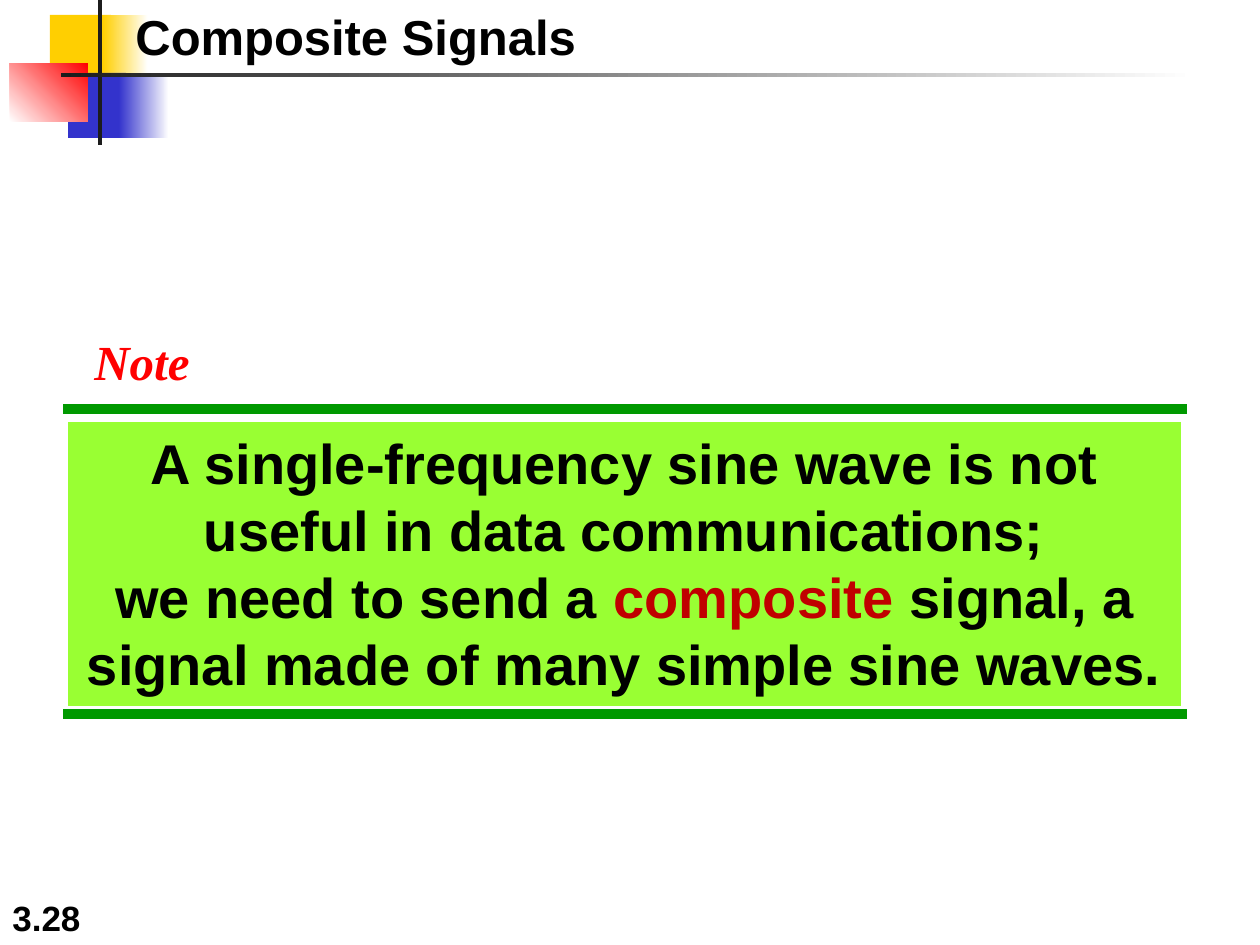
"""Build the Composite Signals note slide."""
import pptx
import pptx.util
import pptx.dml.color
import pptx.enum.shapes
import pptx.enum.text
import pptx.oxml.ns
import lxml.etree

PX = 914400 / 126
HUES = {
    "black": "000000", "white": "FFFFFF", "gold": "FFCF01", "blue": "3333CC",
    "red": "FF0000", "ink": "1C1C1C", "green": "009900", "lime": "99FF33",
    "wine": "C00000",
}
BLOCKS = [
    ((50, 15, 61, 65), ["gold"], 0),
    ((103, 15, 45, 65), ["gold", "white"], 0),
    ((68, 73, 58, 65), ["blue"], 0),
    ((119, 73, 50, 65), ["blue", "white"], 0),
    ((10, 63, 78, 59), ["white", "red"], 45),
    ((98, 0, 4, 145), ["ink"], 0),
    ((61, 73, 1134, 4), ["ink", "white"], 0),
]
RULES = [409, 714]
PANEL = (68, 422, 1113, 284)
NOTE = [
    [("A single-frequency sine wave is not useful in data communications;", "black")],
    [("we need to send a ", "black"), ("composite ", "wine"),
     ("signal, a signal made of many simple sine waves.", "black")],
]
LABELS = [
    ("3.28", (0, 882, 262, 63), 20, "Arial", "black", False, "BOTTOM"),
    ("Note", (82, 325, 121, 72), 28, "Times New Roman", "red", True, "TOP"),
    ("Composite Signals", (123, 0, 562, 72), 28, "Arial", "black", False, "TOP"),
]


def emu(*nums):
    return [round(n * PX) for n in nums]


def rgb(hue):
    return pptx.dml.color.RGBColor.from_string(HUES[hue])


def block(slide, box, hues, angle=0):
    shape = slide.shapes.add_shape(pptx.enum.shapes.MSO_SHAPE.RECTANGLE, *emu(*box))
    shape.shadow.inherit = False
    shape.line.fill.background()
    if len(hues) == 1:
        shape.fill.solid()
        shape.fill.fore_color.rgb = rgb(hues[0])
    else:
        shape.fill.gradient()
        shape.fill.gradient_angle = angle
        for stop, hue, place in zip(shape.fill.gradient_stops, hues, (0, 1)):
            stop.color.rgb = rgb(hue)
            stop.position = place
    return shape


def rule(slide, y):
    line = slide.shapes.add_connector(
        pptx.enum.shapes.MSO_CONNECTOR.STRAIGHT, *emu(63, y, 1187, y))
    line.line.color.rgb = rgb("green")
    line.line.width = pptx.util.Pt(6)
    props = line._element.spPr
    lxml.etree.SubElement(props, pptx.oxml.ns.qn("a:effectLst"))


def style(para, size, face):
    para.font.size = pptx.util.Pt(size)
    para.font.name = face
    para.font.bold = True


def panel(slide):
    frame = block(slide, PANEL, ["lime"]).text_frame
    frame.word_wrap = True
    frame.vertical_anchor = pptx.enum.text.MSO_ANCHOR.TOP
    for i, runs in enumerate(NOTE):
        para = frame.add_paragraph() if i else frame.paragraphs[0]
        para.alignment = pptx.enum.text.PP_ALIGN.CENTER
        style(para, 32, "Arial")
        for text, hue in runs:
            run = para.add_run()
            run.text = text
            run.font.color.rgb = rgb(hue)


def label(slide, text, box, size, face, hue, slant, anchor):
    frame = slide.shapes.add_textbox(*emu(*box)).text_frame
    frame.word_wrap = not slant
    frame.vertical_anchor = pptx.enum.text.MSO_ANCHOR[anchor]
    para = frame.paragraphs[0]
    para.text = text
    style(para, size, face)
    para.font.italic = slant
    para.font.color.rgb = rgb(hue)


def main():
    deck = pptx.Presentation()
    deck.slide_width, deck.slide_height = emu(1260, 945)
    slide = deck.slides.add_slide(deck.slide_layouts[6])
    for box, hues, angle in BLOCKS:
        block(slide, box, hues, angle)
    for y in RULES:
        rule(slide, y)
    panel(slide)
    for item in LABELS:
        label(slide, *item)
    deck.save("out.pptx")


if __name__ == "__main__":
    main()
